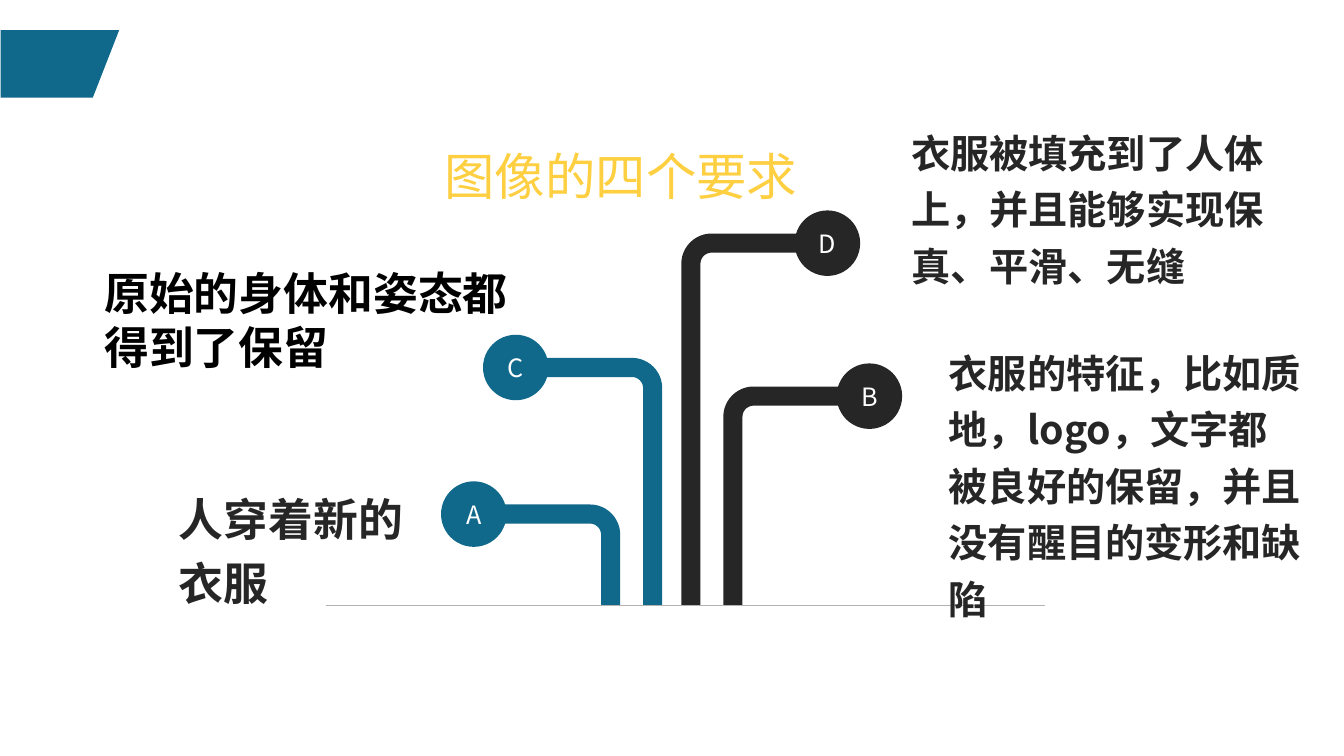
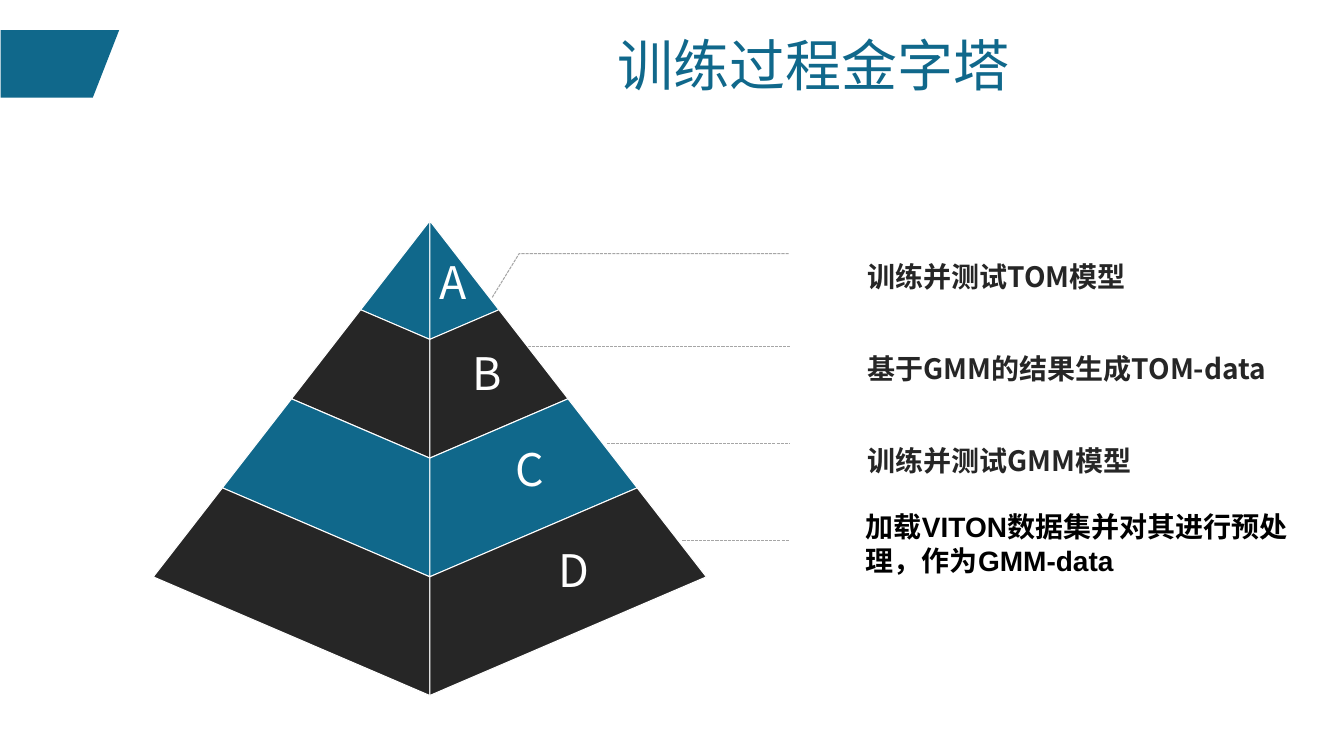
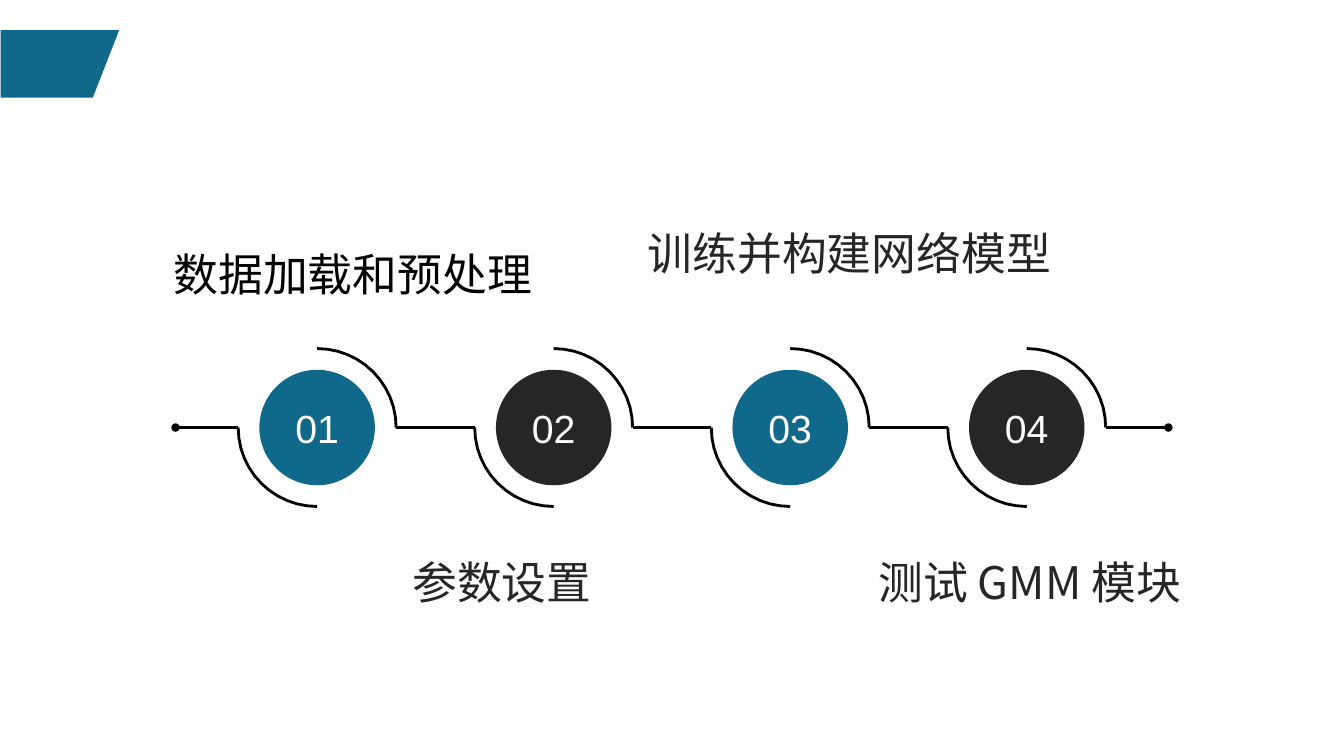
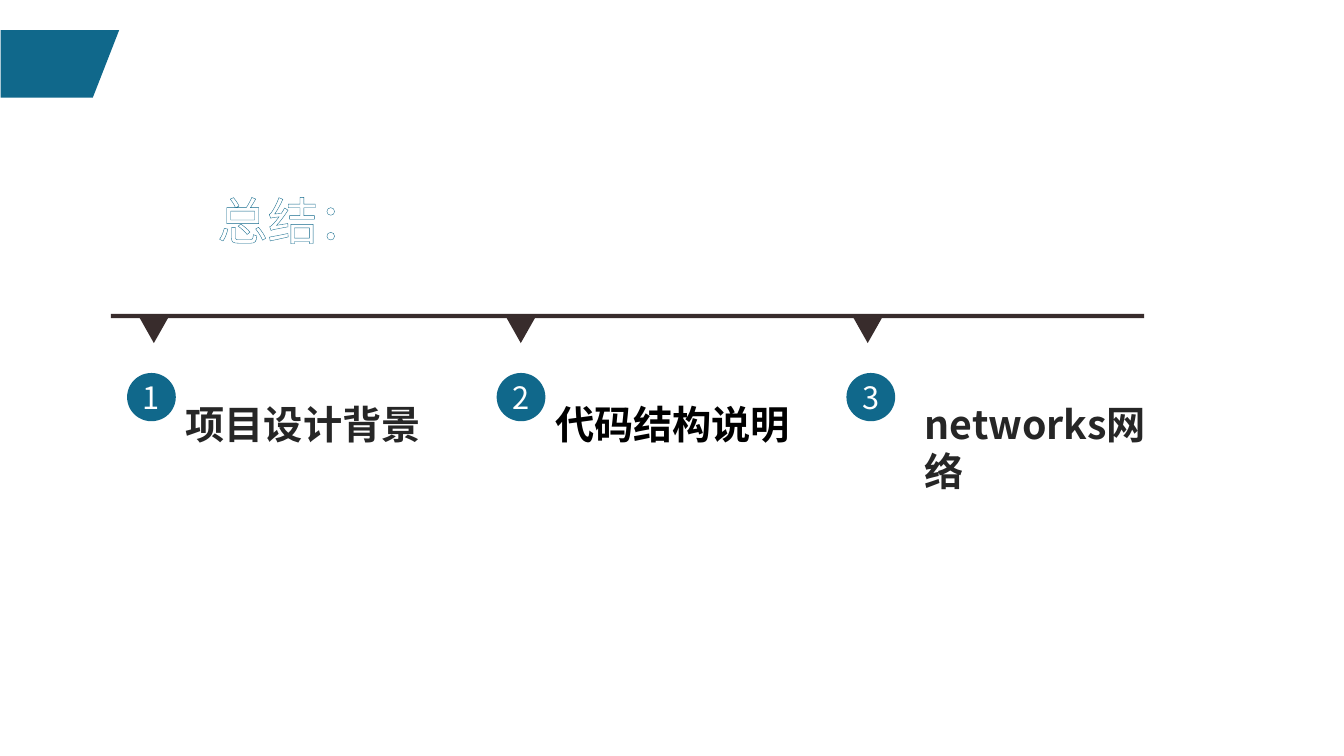
import itertools
import math

import lxml.etree
import pptx
import pptx.dml.color
import pptx.enum.dml
import pptx.enum.shapes
import pptx.enum.text
import pptx.oxml
import pptx.oxml.ns
import pptx.util

# The slide is a grid of 160 by 90 square cells; all places are in cells.
COLUMNS, ROWS = 160, 90
CELL = pptx.util.Pt(6)

COLORS = {
    "teal": "10688B", "dark": "262626", "black": "000000", "white": "FFFFFF",
    "gold": "FECF40", "brown": "382C2C", "rule": "B2B2B2", "leader": "A6A6A6",
    "hatch": "8CD5F2",
}
CJK_FONT = "Noto Sans CJK SC"
SHAPES = pptx.enum.shapes.MSO_SHAPE
ALIGN = pptx.enum.text.PP_ALIGN
qn = pptx.oxml.ns.qn
QUARTER_TURN = [math.radians(7.5 * step) for step in range(13)]


def draw(slide, kind, place, fill=None, line=None, width=0.75, dash=None):
    """Draw a preset shape in a box, or a "line", "path" or "polygon" through points."""
    if kind in ("line", "path", "polygon"):
        points = [(round(x * CELL), round(y * CELL)) for x, y in place]
    if kind == "line":
        shape = slide.shapes.add_connector(
            pptx.enum.shapes.MSO_CONNECTOR.STRAIGHT, *points[0], *points[1])
        lxml.etree.SubElement(shape.element.spPr, qn("a:effectLst"))
    else:
        if kind in ("path", "polygon"):
            builder = slide.shapes.build_freeform(*points[0])
            builder.add_line_segments(points[1:], close=kind == "polygon")
            shape = builder.convert_to_shape()
        else:
            shape = slide.shapes.add_shape(kind, *[round(value * CELL) for value in place])
        shape.shadow.inherit = False
        if fill:
            shape.fill.solid()
            shape.fill.fore_color.rgb = pptx.dml.color.RGBColor.from_string(COLORS[fill])
        else:
            shape.fill.background()
    if line:
        shape.line.color.rgb = pptx.dml.color.RGBColor.from_string(COLORS[line])
        shape.line.width = pptx.util.Pt(width)
        if dash:
            shape.line.dash_style = dash
    else:
        shape.line.fill.background()
    return shape


def write_text(slide, text, box=None, shape=None, size=32, font=CJK_FONT, color="dark",
               bold=False, align=ALIGN.LEFT, spacing=None, inset=None):
    """Write text into a shape, centred, or into a new text box."""
    if shape is None:
        shape = slide.shapes.add_textbox(*[round(value * CELL) for value in box])
    else:
        align = ALIGN.CENTER
        shape.text_frame.vertical_anchor = pptx.enum.text.MSO_ANCHOR.MIDDLE
    frame = shape.text_frame
    frame.word_wrap = True
    if inset is not None:
        frame.margin_left = frame.margin_right = round(inset * CELL)
        frame.margin_top = frame.margin_bottom = round(inset * CELL)
    paragraph = frame.paragraphs[0]
    paragraph.alignment = align
    if spacing:
        paragraph.line_spacing = spacing
    run = paragraph.add_run()
    run.text = text
    run.font.size = pptx.util.Pt(size)
    run.font.bold = bold
    run.font.name = font
    if color:
        run.font.color.rgb = pptx.dml.color.RGBColor.from_string(COLORS[color])
    properties = run.font._element
    properties.find(qn("a:latin")).addnext(
        properties.makeelement(qn("a:ea"), {"typeface": CJK_FONT}))
    return run


presentation = pptx.Presentation()
presentation.slide_width = COLUMNS * CELL
presentation.slide_height = ROWS * CELL
blank_layout = presentation.slide_layouts[6]
requirements, pyramid, process, summary = [
    presentation.slides.add_slide(blank_layout) for _ in range(4)]

# The corner tag is shared through the layout.
tag = draw(requirements, "polygon",
           [(0.06, 3.6), (14.18, 3.6), (11.04, 11.64), (0.06, 11.64)], fill="teal")
tag.element.nvSpPr.cNvPr.set("id", "20")
blank_layout.shapes.element.append(tag.element)

# Slide 1: four requirements on a branching tree
GROUND = 72.06
PIPE_HALF, BEND, BULB = 1.14, 2.46, 7.8
branches = [
    ("B", 103.5, 47.16, 87.25, "dark"),
    ("D", 98.5, 28.95, 82.25, "dark"),
    ("A", 56.4, 61.2, 72.7, "teal"),
    ("C", 61.4, 43.75, 77.7, "teal"),
]
for letter, bulb_x, bulb_y, stem_x, color in branches:
    side = math.copysign(1, stem_x - bulb_x)
    outer, inner = [
        [(stem_x + side * (radius * math.sin(angle) - BEND),
          bulb_y + BEND - radius * math.cos(angle)) for angle in QUARTER_TURN]
        for radius in (BEND + PIPE_HALF, BEND - PIPE_HALF)]
    draw(requirements, "polygon",
         [(bulb_x, bulb_y - PIPE_HALF), *outer,
          (stem_x + side * PIPE_HALF, GROUND), (stem_x - side * PIPE_HALF, GROUND),
          *reversed(inner), (bulb_x, bulb_y + PIPE_HALF)], fill=color)
    bulb = draw(requirements, SHAPES.OVAL,
                (bulb_x - BULB / 2, bulb_y - BULB / 2, BULB, BULB), fill=color)
    write_text(requirements, letter, shape=bulb, size=18, color="white")
draw(requirements, "line", [(38.85, GROUND), (124.4, GROUND)], line="rule", width=0.5)

write_text(requirements, "图像的四个要求", (40.52, 7.3, 66.8, 13.6), size=36, font="Arial",
           color="gold", align=ALIGN.CENTER, spacing=2.3)
for text, box, size, color, spacing in [
    ("人穿着新的衣服", (20.1, 56.65, 30.8, 16.7), 32, "dark", 1.2),
    ("衣服的特征，比如质地，logo，文字都被良好的保留，并且没有醒目的变形和缺陷",
     (111.78, 39.87, 44.8, 28.2), 28, "dark", 1.2),
    ("衣服被填充到了人体上，并且能够实现保真、平滑、无缝",
     (107.3, 13.63, 44.8, 21.5), 28, "dark", 1.2),
    ("原始的身体和姿态都得到了保留", (11.25, 31.1, 53.3, 14.2), 32, "black", None),
]:
    write_text(requirements, text, box, size=size, color=color, bold=True, spacing=spacing)

# Slide 2: training pyramid
APEX_X, APEX_Y = 51.17, 26.28
HALF_STEP, CORNER_STEP, FRONT_STEP = 8.23, 10.6, 14.13
LEADER_END = 94
DASH = pptx.enum.dml.MSO_LINE.SQUARE_DOT
draw(pyramid, "path", [(58.6, 35.4), (61.8, 30.2), (LEADER_END, 30.2)],
     line="leader", dash=DASH)
for start_x, y in [(62.8, 41.3), (72.3, 52.75), (81.25, 64.3)]:
    draw(pyramid, "line", [(start_x, y), (LEADER_END, y)], line="leader", dash=DASH)

letter_centers = [(54, 33.6), (58, 44.4), (63.05, 55.8), (68.3, 67.9)]
for level, (letter, (x, y)) in enumerate(zip("ABCD", letter_centers)):
    for side in (-1, 1):
        corners = [(APEX_X + side * HALF_STEP * edge, APEX_Y + CORNER_STEP * edge)
                   for edge in (level, level + 1)]
        fronts = [(APEX_X, APEX_Y + FRONT_STEP * edge) for edge in (level + 1, level)]
        draw(pyramid, "polygon", corners + fronts, fill=("teal", "dark")[level % 2],
             line="white", width=0.75 if level < 2 else 0)
    write_text(pyramid, letter, (x - 4, y - 3.84, 8, 7.68), color="white",
               align=ALIGN.CENTER)

stages = ["训练并测试TOM模型", "基于GMM的结果生成TOM-data", "训练并测试GMM模型"]
for row, text in enumerate(stages):
    write_text(pyramid, text, (102.08, 29.5 + 10.95 * row, 56, 6), size=20, bold=True,
               spacing=1.2)
write_text(pyramid, "加载VITON数据集并对其进行预处理，作为GMM-data",
           (101.9, 60.1, 53.3, 9.2), size=20, font="Arial", color="black", bold=True)
write_text(pyramid, "训练过程金字塔", (72.32, 3, 58.7, 14.2), size=40, font="Arial",
           color="teal")

# Slide 3: four steps along a line
AXIS_Y, DISC, RING = 50.9, 13.75, 9.4
centers = [37.76 + 28.16 * step for step in range(4)]
for step, x in enumerate(centers):
    disc = draw(process, SHAPES.OVAL, (x - DISC / 2, AXIS_Y - DISC / 2, DISC, DISC),
                fill=("teal", "dark")[step % 2])
    write_text(process, f"{step + 1:02}", shape=disc, size=28, font="Arial", color="white")
    for side in (1, -1):
        draw(process, "path", [(x + side * RING * math.cos(angle),
                                AXIS_Y - side * RING * math.sin(angle))
                               for angle in QUARTER_TURN], line="black", width=2)

stops = [20.9, *itertools.chain.from_iterable((x - RING, x + RING) for x in centers), 139.1]
links = [draw(process, "line", [(start, AXIS_Y), (end, AXIS_Y)], line="black", width=2)
         for start, end in zip(stops[::2], stops[1::2])]
for link, end in [(links[0], "a:headEnd"), (links[-1], "a:tailEnd")]:
    lxml.etree.SubElement(link.element.spPr.find(qn("a:ln")), qn(end), type="oval")

for text, box in [("训练并构建网络模型", (75.92, 25, 57.1, 9)),
                  ("参数设置", (47.9, 64.2, 36.1, 9)),
                  ("测试 GMM 模块", (103.37, 64.2, 43.3, 9))]:
    write_text(process, text, box, spacing=1.2)
write_text(process, "数据加载和预处理", (19.47, 28.8, 53.3, 7.7), font="Arial", color="black")

# Slide 4: summary
draw(summary, SHAPES.RECTANGLE, (13.2, 37.37, 123, 0.5), fill="brown")
topics = [
    ("项目设计背景", 18.03, 18.32, 20.93, 36, "Arial", "dark"),
    ("代码结构说明", 62.03, 62, 64.92, 53.3, "Arial", "black"),
    ("networks网络", 103.67, 103.3, 108.9, 32, CJK_FONT, "dark"),
]
for number, (text, disc_x, marker_x, text_x, width, font, color) in enumerate(topics, 1):
    draw(summary, SHAPES.FLOWCHART_MERGE, (marker_x - 1.75, 37.75, 3.5, 3.1), fill="brown")
    disc = draw(summary, SHAPES.OVAL, (disc_x - 2.9, 44.4, 5.8, 5.75), fill="teal")
    write_text(summary, str(number), shape=disc, size=22, color="white", inset=0)
    write_text(summary, text, (text_x, 47.08, width, 6.8), size=28, font=font, color=color,
               bold=True)

heading = write_text(summary, "总结：", (24.7, 21.95, 80.9, 8.5), size=36, font="Arial",
                     color=None)
heading.font.fill.patterned()
heading.font.fill.pattern = pptx.enum.dml.MSO_PATTERN.LIGHT_DOWNWARD_DIAGONAL
heading.font.fill.fore_color.rgb = pptx.dml.color.RGBColor.from_string(COLORS["hatch"])
heading.font.fill.back_color.rgb = pptx.dml.color.RGBColor.from_string(COLORS["white"])
outline = pptx.oxml.parse_xml(
    f'<a:ln {pptx.oxml.ns.nsdecls("a")} w="12700"><a:solidFill>'
    f'<a:srgbClr val="{COLORS["teal"]}"/></a:solidFill></a:ln>')
heading.font._element.insert(0, outline)

presentation.save("out.pptx")
